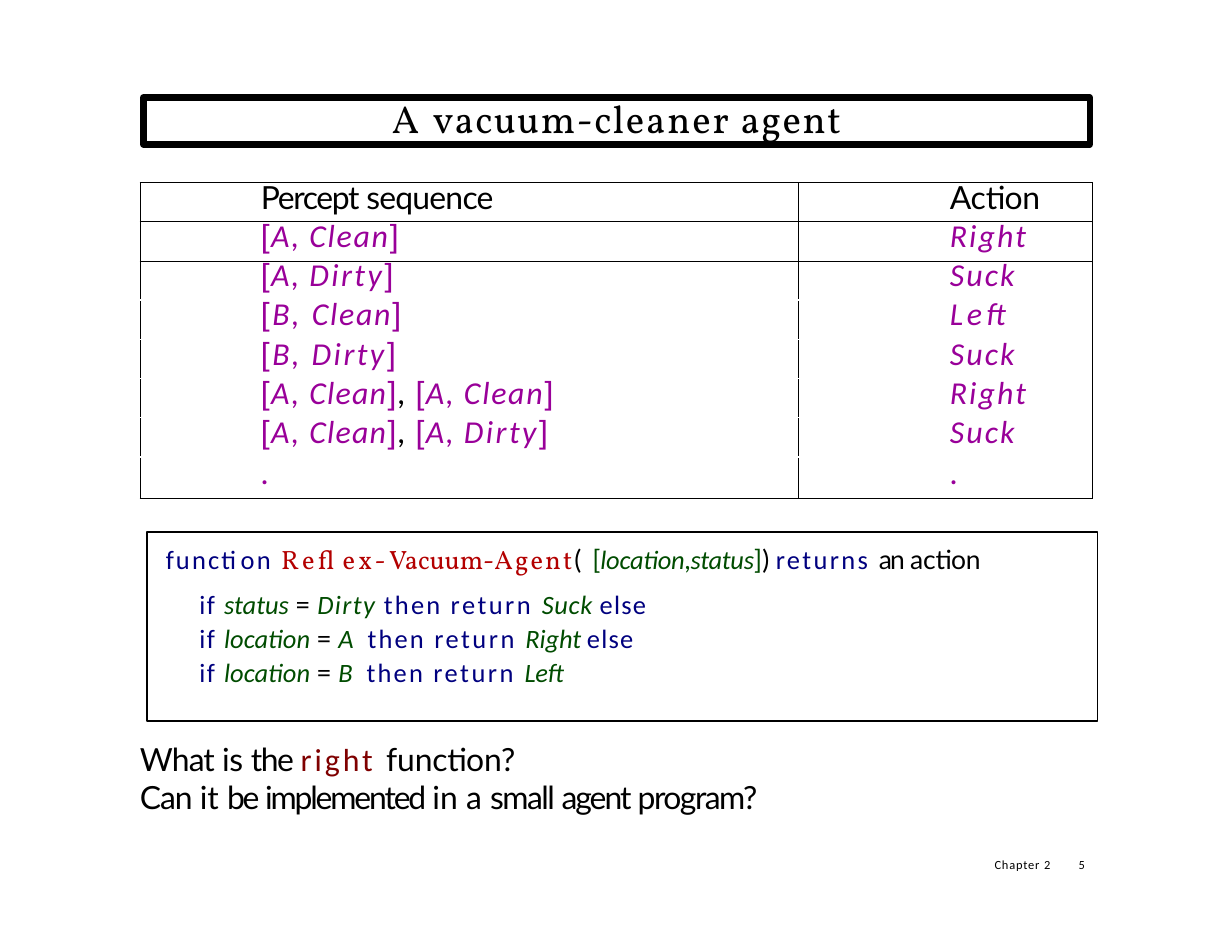
"""Build the vacuum-cleaner agent slide."""
from dataclasses import dataclass
from typing import NamedTuple

from lxml import etree
from pptx import Presentation
from pptx.dml.color import RGBColor
from pptx.enum.shapes import MSO_SHAPE
from pptx.enum.text import MSO_ANCHOR, MSO_AUTO_SIZE, PP_ALIGN
from pptx.oxml.ns import qn
from pptx.util import Inches, Pt

RECT = MSO_SHAPE.RECTANGLE
TOP, MIDDLE = MSO_ANCHOR.TOP, MSO_ANCHOR.MIDDLE
FIXED = MSO_AUTO_SIZE.NONE
LEFT, CENTER = PP_ALIGN.LEFT, PP_ALIGN.CENTER


class Face(NamedTuple):
    font: str
    color: str
    slant: bool = False


class Bit(NamedTuple):
    text: str
    face: Face
    gap: float = 0


class Para(NamedTuple):
    bits: list[Bit]
    size: float
    indent: float = 0
    lead: float | Pt = 1.0
    before: float = 0
    align: PP_ALIGN = LEFT


@dataclass(frozen=True)
class Theme:
    ink: str = "000000"
    title: Face = Face("Vollkorn", "000000")
    body: Face = Face("Lato", "000000")
    small: Face = Face("Calibri", "000000")
    accent: Face = Face("Calibri", "7F0000")
    fence: Face = Face("Arial", "990099")
    value: Face = Face("Calibri", "990099", True)
    dot: Face = Face("Lato", "990099")
    key: Face = Face("Calibri", "00007F")
    name: Face = Face("Vollkorn", "B30000")
    term: Face = Face("Calibri", "004C00", True)
    mark: Face = Face("Lato", "004C00")
    head_size: float = 25
    text_size: float = 20.5
    code_size: float = 17
    foot_size: float = 8
    thick: float = 4.08
    thin: float = 1.08
    hair: float = 0.5


T = Theme()


def paint(font, face: Face) -> None:
    """Apply a face to a font."""
    font.name, font.italic = face.font, face.slant
    font.color.rgb = RGBColor.from_string(face.color)


def fill_para(para, data: Para) -> None:
    """Write the runs and format of one paragraph."""
    props = para._p.get_or_add_pPr()
    props.set("marL", str(Inches(data.indent)))
    props.set("indent", "0")
    para.alignment, para.line_spacing = data.align, data.lead
    para.space_before = Pt(data.before)
    para.font.size = Pt(data.size)
    same = len({bit.face for bit in data.bits}) == 1
    if same:
        paint(para.font, data.bits[0].face)
    for bit in data.bits:
        if bit.text == "\n":
            para.add_line_break()
            continue
        run = para.add_run()
        run.text = bit.text
        run._r.get_or_add_rPr().set("spc", str(round(bit.gap * 100)))
        if not same:
            paint(run.font, bit.face)


def fill_frame(frame, paras: list[Para], inset: float = 0, anchor=TOP) -> None:
    """Write paragraphs into a text frame."""
    frame.word_wrap, frame.auto_size = True, FIXED
    frame.vertical_anchor = anchor
    frame.margin_left = frame.margin_right = frame.margin_bottom = 0
    frame.margin_top = Inches(inset)
    for index, data in enumerate(paras):
        fill_para(frame.add_paragraph() if index else frame.paragraphs[0], data)


def add_text(slide, box: tuple, paras: list[Para], inset: float = 0) -> None:
    """Add a text box."""
    shape = slide.shapes.add_textbox(*map(Inches, box))
    fill_frame(shape.text_frame, paras, inset)


def outline(shape, width: float) -> None:
    """Give a shape a plain black outline."""
    shape.fill.background()
    shape.line.color.rgb = RGBColor.from_string(T.ink)
    shape.line.width = Pt(width)


def add_edges(cell, sides: str) -> None:
    """Draw the named sides of a cell."""
    props = cell._tc.get_or_add_tcPr()
    for side in sides:
        line = etree.SubElement(props, qn(f"a:ln{side}"), w=str(Pt(T.hair)))
        solid = etree.SubElement(line, qn("a:solidFill"))
        etree.SubElement(solid, qn("a:srgbClr"), val=T.ink)


def percept(room: str, state: str, gap: float) -> list[Bit]:
    """Make the runs of one percept."""
    lead = 0.9 if room == "A" else 1.6
    return [Bit("[", T.fence, lead), Bit(f"{room}, ", T.value, lead),
            Bit(state, T.value, gap), Bit("]", T.fence, gap)]


def add_grid(slide) -> None:
    """Add the table of percepts and actions."""
    clean, dirty = percept("A", "Clean", 1.1), percept("A", "Dirty", 1.6)
    first = [*percept("A", "Clean", 0.8), Bit(", ", T.body, 0.8)]
    right, suck = [Bit("Right", T.value, 1.4)], [Bit("Suck", T.value, 1.4)]
    dot = [Bit(".", T.dot, -0.5)]
    rows = [
        ([Bit("Percept ", T.body, -0.9), Bit("sequence", T.body, -0.5)],
         [Bit("Action", T.body, -0.1)]),
        (clean, right),
        (dirty, suck),
        (percept("B", "Clean", 1.1), [Bit("Left", T.value, 2.5)]),
        (percept("B", "Dirty", 1.6), suck),
        (first + clean, right),
        (first + dirty, suck),
        (dot, dot),
    ]
    box = map(Inches, (1.25, 1.63, 8.5, 2.8))
    table = slide.shapes.add_table(len(rows), 2, *box).table
    table.first_row = table.horz_banding = False
    for column, width in zip(table.columns, (5.88, 2.62)):
        column.width = Inches(width)
    last = len(rows) - 1
    for index, row in enumerate(rows):
        table.rows[index].height = Inches(0.37 if index == last else 0.35)
        lead = Pt(21.8 if index in (0, last) else 22.1)
        sides = "LR" + "T" * (index < 3) + "B" * (index < 2 or index == last)
        for col, (bits, indent) in enumerate(zip(row, (1.08, 1.35))):
            cell = table.cell(index, col)
            cell.margin_left = cell.margin_right = 0
            cell.margin_top = cell.margin_bottom = 0
            add_edges(cell, sides)
            cell.fill.background()
            fill_para(cell.text_frame.paragraphs[0],
                      Para(bits, T.text_size, indent, lead))


def test(term: str, value: str, gap: float, act: str, tail: float) -> list[Bit]:
    """Make the runs of one code branch."""
    return [Bit("if ", T.key, 1), Bit(f"{term} ", T.term), Bit("= ", T.body),
            Bit(f"{value} ", T.term, gap), Bit("then ", T.key, 1.4),
            Bit("return ", T.key, 1.6), Bit(act, T.term, tail)]


def add_code(slide) -> None:
    """Add the framed agent program."""
    shape = slide.shapes.add_shape(RECT, *map(Inches, (1.31, 4.75, 8.49, 1.69)))
    shape.shadow.inherit = False
    outline(shape, T.thin)
    head = [
        Bit("function ", T.key, 1.4), Bit("Reflex-", T.name, 2.1),
        Bit("Vacuum-", T.name), Bit("Agent", T.name, 1.3),
        Bit("( ", T.body, 1.3), Bit("[", T.mark, -0.2),
        Bit("location", T.term, -0.2), Bit(",", T.mark, -0.2),
        Bit("status", T.term, -0.2), Bit("]", T.mark, -0.2),
        Bit(") ", T.body, -0.2), Bit("returns ", T.key, 1.5),
        Bit("an ", T.body, -1.1), Bit("action", T.body, -0.1)]
    other = [Bit("else", T.key, 0.8), Bit("\n", T.key)]
    steps = [*test("status", "Dirty", 0.9, "Suck ", 0.4), *other,
             *test("location", "A", 2.5, "Right ", -0.1), *other,
             *test("location", "B", 2.5, "Left", -0.2)]
    fill_frame(shape.text_frame, [
        Para(head, T.code_size, 0.17, before=7.4),
        Para(steps, T.code_size, 0.47, 1.07, 7.2)], 0.1)


def add_title(slide) -> None:
    """Place and fill the title."""
    title = slide.shapes.title
    title.left, title.top, title.width, title.height = map(
        Inches, (1.28, 0.87, 8.45, 0.42))
    outline(title, T.thick)
    words = (("A ", 1.9), ("vacuum-", 0.9), ("cleaner ", 1.2), ("agent", 1))
    bits = [Bit(text, T.title, gap) for text, gap in words]
    fill_frame(title.text_frame, [
        Para(bits, T.head_size, lead=Pt(26.4), align=CENTER)], anchor=MIDDLE)


def main() -> None:
    """Build and save the slide."""
    deck = Presentation()
    deck.slide_width, deck.slide_height = Inches(11), Inches(8.5)
    slide = deck.slides.add_slide(deck.slide_layouts[5])
    add_title(slide)
    add_grid(slide)
    add_code(slide)
    ask = [Bit("What ", T.body, -0.6), Bit("is ", T.body, -0.3),
           Bit("the ", T.body, -1), Bit("right ", T.accent, 1.9),
           Bit("function?", T.body, -0.1)]
    words = (("Can ", -0.7), ("it ", 0), ("be ", -1.6), ("implemented ", -1.4),
             ("in a ", 0), ("small ", -1), ("agent ", -1.3), ("program?", -1))
    more = [Bit(text, T.body, gap) for text, gap in words]
    add_text(slide, (1.24, 6.58, 5.8, 0.72), [
        Para(ask, T.text_size, 0.01, before=1.1),
        Para(more, T.text_size, 0.01, before=0.3)], 0.02)
    feet = (((8.87, 7.66, 0.6, 0.14), 0.01, (("Chapter ", 0.5), ("2", -0.5))),
            ((9.59, 7.66, 0.21, 0.14), 0.04, (("5", -0.2),)))
    for box, indent, parts in feet:
        bits = [Bit(text, T.small, gap) for text, gap in parts]
        add_text(slide, box, [Para(bits, T.foot_size, indent, Pt(8.8))])
    deck.save("out.pptx")


if __name__ == "__main__":
    main()
